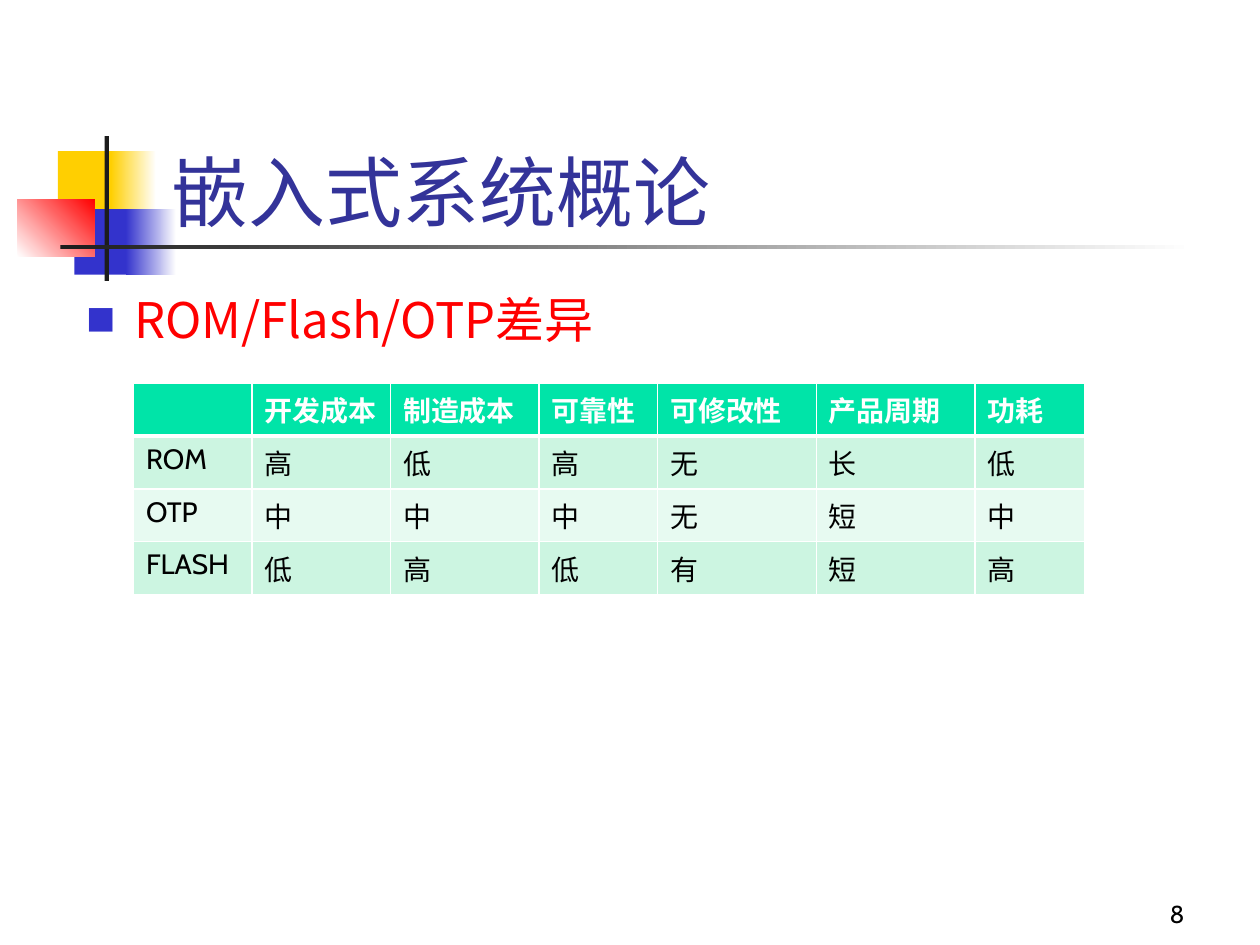
from lxml import etree
from pptx import Presentation
from pptx.dml.color import RGBColor
from pptx.enum.shapes import MSO_SHAPE
from pptx.enum.text import MSO_ANCHOR, PP_ALIGN
from pptx.oxml.ns import qn
from pptx.util import Inches, Pt

RECT = MSO_SHAPE.RECTANGLE
TOP, BOTTOM = MSO_ANCHOR.TOP, MSO_ANCHOR.BOTTOM
LEFT, RIGHT = PP_ALIGN.LEFT, PP_ALIGN.RIGHT
WIDE, HIGH = Inches(10), Inches(7.5)
COLS, ROWS = 100, 75
SANS, CABIN = "Noto Sans CJK SC", "Cabin"
HUES = {
    "white": "FFFFFF", "black": "000000", "ink": "1C1C1C",
    "gold": "FFCF01", "blue": "3333CC", "red": "FF0000", "navy": "333399",
    "head": "00E4A8", "odd": "CCF5E1", "even": "E7FAF1",
}
DATA = [
    ["", "开发成本", "制造成本", "可靠性", "可修改性", "产品周期", "功耗"],
    ["ROM", "高", "低", "高", "无", "长", "低"],
    ["OTP", "中", "中", "中", "无", "短", "中"],
    ["FLASH", "低", "高", "低", "有", "短", "高"],
]
WIDTHS = [9.4, 11, 11.8, 9.4, 12.6, 12.6, 8.7]
SQUARES = [
    (3.2, 1.2, 4.8, 5.2, "gold", None, 0),
    (7.4, 1.2, 3.6, 5.2, "gold", "white", 0),
    (4.5, 5.8, 4.6, 5.2, "blue", None, 0),
    (8.6, 5.8, 4, 5.2, "blue", "white", 0),
    (0, 5, 6.1, 4.6, "white", "red", 45),
    (6.9, 0, 0.35, 11.5, "ink", None, 0),
    (3.4, 8.65, 90, 0.35, "ink", "white", 0),
]


def hue(name):
    return RGBColor.from_string(HUES[name])


def across(n):
    return round(WIDE * n / COLS)


def down(n):
    return round(HIGH * n / ROWS)


def place(box):
    x, y, w, h = box
    return across(x), down(y), across(w), down(h)


def write(frame, text, size=16, face=CABIN, color="black", bold=False,
          align=LEFT, bullet=None):
    para = frame.paragraphs[0]
    para.alignment = align
    if bullet:
        props = para._p.get_or_add_pPr()
        props.set("marL", str(across(3.8)))
        props.set("indent", str(-across(3.8)))
        tint = etree.SubElement(props, qn("a:buClr"))
        etree.SubElement(tint, qn("a:srgbClr"), val=HUES[bullet])
        etree.SubElement(props, qn("a:buSzPct"), val="60000")
        etree.SubElement(props, qn("a:buFont"), typeface=SANS)
        etree.SubElement(props, qn("a:buChar"), char="■")
    run = para.add_run()
    run.text = text
    font = run.font
    font.size, font.name, font.bold = Pt(size), face, bold
    font.color.rgb = hue(color)
    etree.SubElement(run._r.get_or_add_rPr(), qn("a:ea"), typeface=SANS)


def label(slide, box, text, anchor=TOP, **style):
    frame = slide.shapes.add_textbox(*place(box)).text_frame
    frame.word_wrap = True
    frame.vertical_anchor = anchor
    write(frame, text, **style)


def motif(slide, box):
    left, top = box
    for x, y, w, h, start, end, angle in SQUARES:
        shape = slide.shapes.add_shape(RECT, *place((left + x, top + y, w, h)))
        shape.shadow.inherit = False
        shape.line.fill.background()
        fill = shape.fill
        if end:
            fill.gradient()
            fill.gradient_angle = angle
            for stop, name in zip(fill.gradient_stops, (start, end)):
                stop.color.rgb = hue(name)
        else:
            fill.solid()
            fill.fore_color.rgb = hue(start)


def border(cell, head):
    props = cell._tc.get_or_add_tcPr()
    for side in "LRTB":
        width = Pt(3 if head and side == "B" else 1)
        line = etree.SubElement(props, qn(f"a:ln{side}"), w=str(width))
        fill = etree.SubElement(line, qn("a:solidFill"))
        etree.SubElement(fill, qn("a:srgbClr"), val=HUES["white"])


def matrix(slide, box):
    table = slide.shapes.add_table(len(DATA), len(WIDTHS), *place(box)).table
    for col, width in zip(table.columns, WIDTHS):
        col.width = across(width)
    for r, row in enumerate(DATA):
        head = r == 0
        shade = "head" if head else "odd" if r % 2 else "even"
        for c, text in enumerate(row):
            cell = table.cell(r, c)
            border(cell, head)
            cell.fill.solid()
            cell.fill.fore_color.rgb = hue(shade)
            write(cell.text_frame, text, bold=head,
                  color="white" if head else "black")


def main():
    deck = Presentation()
    deck.slide_width, deck.slide_height = WIDE, HIGH
    slide = deck.slides.add_slide(deck.slide_layouts[6])
    motif(slide, (1.4, 10.8))
    label(slide, (12.6, 6.8, 85.2, 12.5), "嵌入式系统概论", anchor=BOTTOM,
          size=44, face=SANS, color="navy")
    label(slide, (5.9, 22.5, 92, 44.5), "ROM/Flash/OTP差异",
          size=28, face=SANS, color="red", bullet="blue")
    label(slide, (74.2, 69.2, 20.8, 5), "8", anchor=BOTTOM, size=14,
          align=RIGHT)
    matrix(slide, (10.6, 30.4, sum(WIDTHS), 16.8))
    deck.save("out.pptx")


if __name__ == "__main__":
    main()
